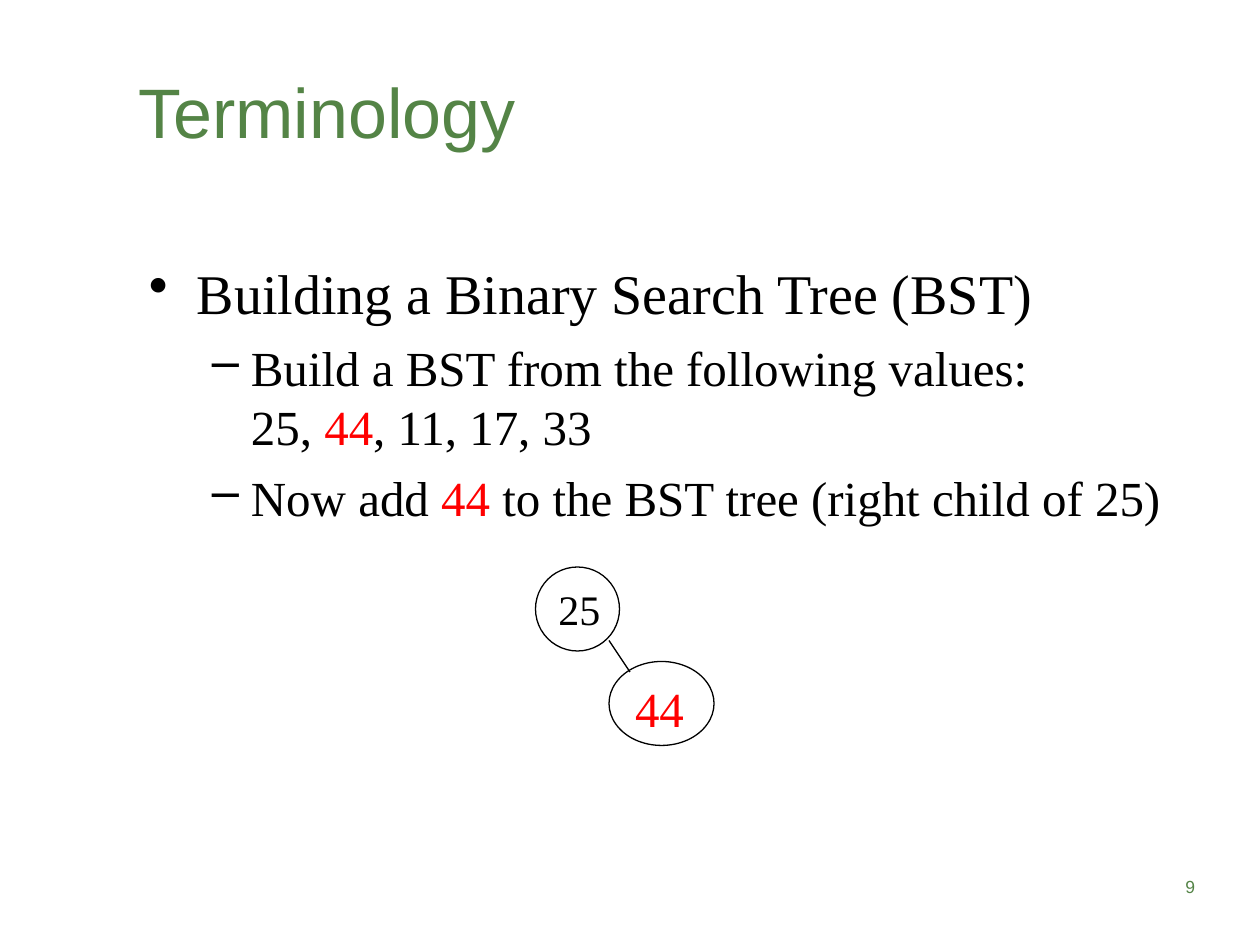
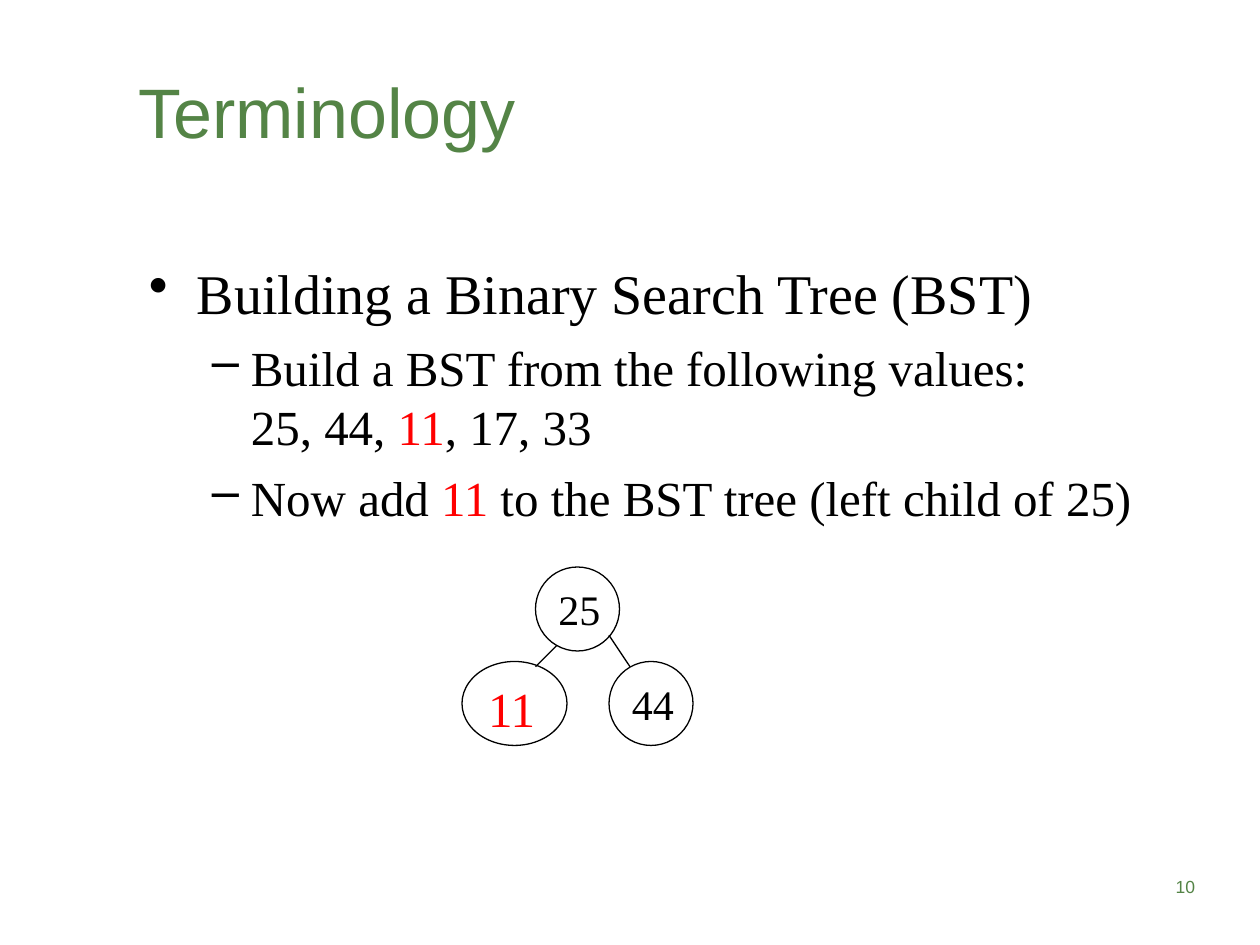
from pptx import Presentation
from pptx import util as u
from pptx.dml.color import RGBColor
from pptx.enum import shapes, text
from lxml import etree
from pptx.oxml.ns import qn

GREEN = RGBColor(0x54, 0x84, 0x46)
BLACK = RGBColor(0, 0, 0)
RED = RGBColor(0xFF, 0, 0)
SANS, SERIF = "Arial", "Times New Roman"

# Grid: twelve cells to the inch, 120 columns by 90 rows
CELL = u.Inches(1) // 12

# Bullet levels: sign, size, left margin, hanging indent, space before
LEVELS = [("•", 32, 0.38, 0.38, 8), ("–", 28, 0.81, 0.31, 7)]


def cells(*values):
    return [round(v * CELL) for v in values]


class Deck:
    def __init__(self):
        self.prs = Presentation()
        self.prs.slide_width, self.prs.slide_height = cells(120, 90)
        self.s = None

    def new_slide(self, title, number):
        self.s = self.prs.slides.add_slide(self.prs.slide_layouts[6])
        tf = self.box(12, 3, 102, 15, text.MSO_ANCHOR.MIDDLE)
        self.run(tf.paragraphs[0], title, 40, GREEN, SANS)
        tf = self.box(90, 80, 25, 6, text.MSO_ANCHOR.BOTTOM)
        p = tf.paragraphs[0]
        p.alignment = text.PP_ALIGN.RIGHT
        self.run(p, str(number), 10, GREEN, SANS)

    def box(self, col, row, width, height, anchor=text.MSO_ANCHOR.TOP):
        tf = self.s.shapes.add_textbox(*cells(col, row, width, height)).text_frame
        tf.word_wrap = True
        tf.vertical_anchor = anchor
        return tf

    def run(self, p, words, size, color=BLACK, font=SERIF):
        r = p.add_run()
        r.text = words
        r.font.size = u.Pt(size)
        r.font.name = font
        r.font.color.rgb = color

    def bullets(self, items):
        """Each item is a level and its lines; a line alternates black and red runs."""
        tf = self.box(13, 24, 102, 53)
        for i, (level, lines) in enumerate(items):
            p = tf.paragraphs[0] if i == 0 else tf.add_paragraph()
            sign, size, margin, hang, before = LEVELS[level]
            p.level = level
            if i:
                p.space_before = u.Pt(before)
            pPr = p._p.get_or_add_pPr()
            pPr.set("marL", str(u.Inches(margin)))
            pPr.set("indent", str(-u.Inches(hang)))
            color = etree.SubElement(pPr, qn("a:buClr"))
            etree.SubElement(color, qn("a:srgbClr"), val=str(BLACK))
            etree.SubElement(pPr, qn("a:buChar"), char=sign)
            for j, line in enumerate(lines):
                if j:
                    p.add_line_break()
                for k, words in enumerate(line):
                    self.run(p, words, size, RED if k % 2 else BLACK)

    def node(self, value, col, row, added=False):
        """A tree node; the one just added is wider, with larger red text."""
        sp = self.s.shapes.add_shape(shapes.MSO_SHAPE.OVAL,
                                     *cells(col, row, 10 if added else 8, 8))
        sp.shadow.inherit = False
        sp.fill.background()
        sp.line.color.rgb = BLACK
        sp.line.width = u.Pt(0.75)
        if added:
            tf = self.box(col + 1.3, row + 1, 8.7, 6.8)
        else:
            tf = self.box(col + 1, row + 1, 7, 6)
        self.run(tf.paragraphs[0], value, 28 if added else 24, RED if added else BLACK)

    def edge(self, *ends):
        c = self.s.shapes.add_connector(shapes.MSO_CONNECTOR.STRAIGHT, *cells(*ends))
        c.line.color.rgb = BLACK
        c.line.width = u.Pt(0.75)
        etree.SubElement(c._element.spPr, qn("a:effectLst"))

    def bst_slide(self, number, before, value, after, side):
        self.new_slide("Terminology", number)
        self.bullets([
            (0, [["Building a Binary Search Tree (BST)"]]),
            (1, [["Build a BST from the following values:"], [before, value, after]]),
            (1, [["Now add ", value, f" to the BST tree ({side} child of 25)"]]),
        ])
        self.node("25", 51, 54)


def main():
    deck = Deck()

    # 44 becomes the right child
    deck.bst_slide(9, "25, ", "44", ", 11, 17, 33", "right")
    deck.node("44", 58, 63, added=True)
    deck.edge(58, 61, 60, 64)

    # 11 becomes the left child
    deck.bst_slide(10, "25, 44, ", "11", ", 17, 33", "left")
    deck.node("44", 58, 63)
    deck.edge(58, 60.5, 60, 63.5)
    deck.node("11", 44, 63, added=True)
    deck.edge(53, 61.5, 51, 63.5)

    deck.prs.save("out.pptx")


if __name__ == "__main__":
    main()
